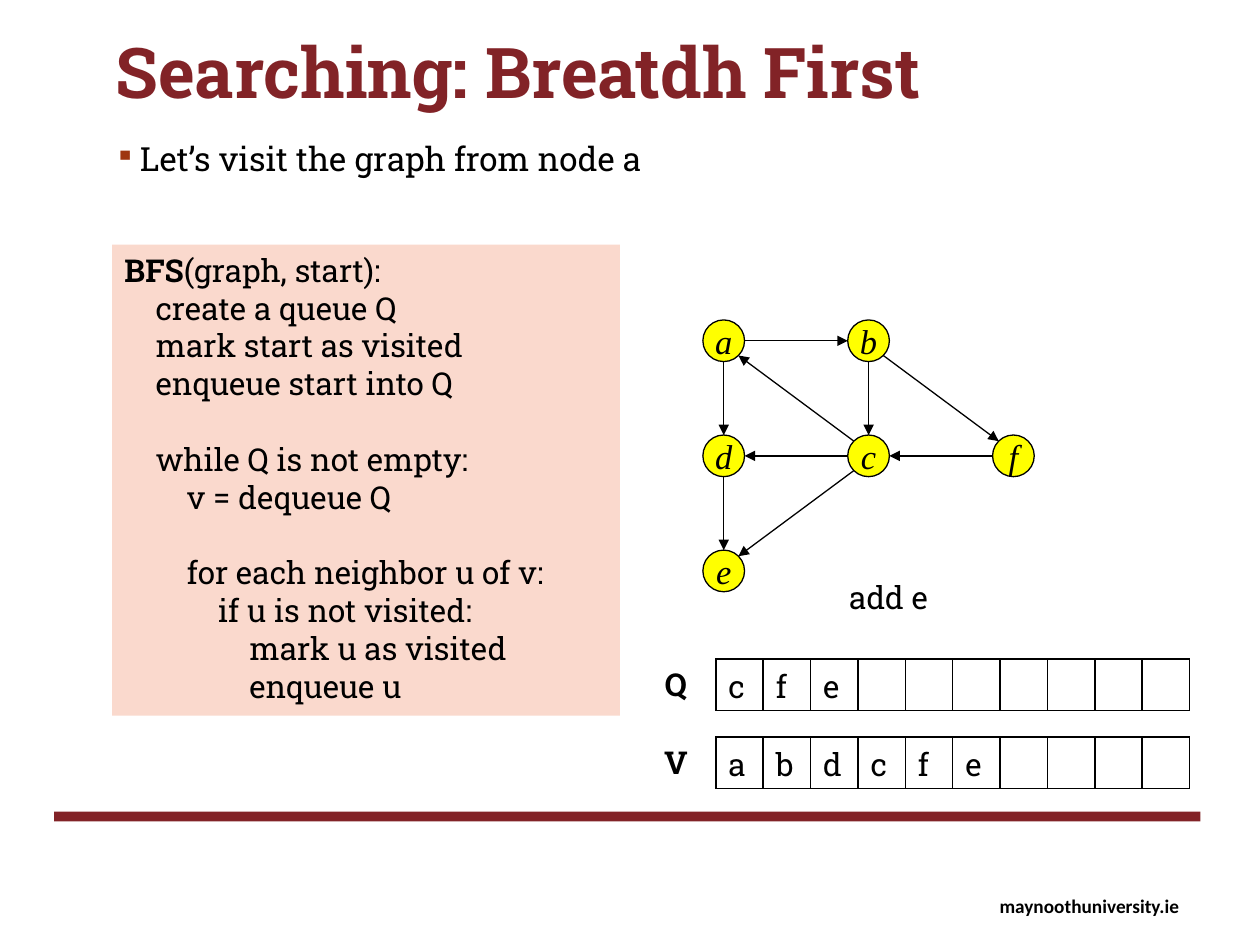
from math import copysign, hypot

from lxml import etree
from pptx import Presentation
from pptx.dml.color import RGBColor
from pptx.enum.shapes import MSO_CONNECTOR, MSO_SHAPE
from pptx.enum.text import MSO_ANCHOR, PP_ALIGN
from pptx.oxml.ns import qn
from pptx.util import Cm, Pt

SLAB, SERIF, SANS = "Roboto Slab", "Times New Roman", "Calibri"
RED, PINK, YELLOW, RUST = "822327", "FAD9CD", "FFFF00", "9E3611"
BLACK, WHITE = "000000", "FFFFFF"
LEFT, CENTER = PP_ALIGN.LEFT, PP_ALIGN.CENTER
RECT, OVAL = MSO_SHAPE.RECTANGLE, MSO_SHAPE.OVAL
STRAIGHT = MSO_CONNECTOR.STRAIGHT
MIDDLE, TOP = MSO_ANCHOR.MIDDLE, MSO_ANCHOR.TOP

CODE = [
    "    create a queue Q",
    "    mark start as visited",
    "    enqueue start into Q",
    "",
    "    while Q is not empty:",
    "        v = dequeue Q",
    "        ",
    "        for each neighbor u of v:",
    "            if u is not visited:",
    "                mark u as visited",
    "                enqueue u",
]
# Node name: (column, row)
NODES = {"a": (0, 0), "d": (0, 1), "e": (0, 2), "b": (1, 0), "c": (1, 1), "f": (2, 1)}
EDGES = ["ad", "ab", "bc", "ca", "cd", "ce", "de", "bf", "fc"]


def color(hex_string):
    return RGBColor.from_string(hex_string)


def sub(parent, tag, **attrs):
    return etree.SubElement(parent, qn(tag), attrs)


def add_run(p, text, size=18, font=SLAB, fill=BLACK, bold=False, italic=False):
    r = p.add_run()
    r.text = text
    r.font.size, r.font.name = Pt(size), font
    r.font.bold, r.font.italic = bold, italic
    r.font.color.rgb = color(fill)


def add_text(s, x, y, w, h, text, align=LEFT, wrap=True, **style):
    """Place a one-line text box and return its paragraph."""
    tf = s.shapes.add_textbox(Cm(x), Cm(y), Cm(w), Cm(h)).text_frame
    tf.word_wrap = wrap
    p = tf.paragraphs[0]
    p.alignment = align
    add_run(p, text, **style)
    return p


def add_filled(shapes, kind, x, y, w, h, fill, line=None):
    sp = shapes.add_shape(kind, Cm(x), Cm(y), Cm(w), Cm(h))
    sp.shadow.inherit = False
    sp.fill.solid()
    sp.fill.fore_color.rgb = color(fill)
    if line:
        sp.line.color.rgb = color(line)
        sp.line.width = Pt(0.75)
    else:
        sp.line.fill.background()
    return sp


def add_footer(s, x, y, w):
    add_filled(s.shapes, RECT, x, y, w, 0.2, RED)
    add_text(s, x + w - 4.3, y + 1.55, 4.19, 0.74, "maynoothuniversity.ie",
             wrap=False, size=11, font=SANS, bold=True)


def add_heading(s, x, y, w):
    p = add_text(s, x, y, w, 3.12, "Searching: Breatdh First",
                 size=40, fill=RED, bold=True)
    p.line_spacing = 0.9

    p = add_text(s, x - 0.78, y + 2.11, w + 1.63, 2.34,
                 "Let’s visit the graph from node a", size=19)
    p.line_spacing, p.space_after = 0.9, Pt(2)
    pPr = p._p.get_or_add_pPr()
    pPr.set("marL", str(Cm(1.27)))
    pPr.set("indent", str(-Cm(0.51)))
    sub(sub(pPr, "a:buClr"), "a:srgbClr", val=RUST)
    sub(pPr, "a:buSzPct", val="85000")
    sub(pPr, "a:buChar", char="▪")


def add_code(s, x, y, w, h):
    tf = add_filled(s.shapes, RECT, x, y, w, h, PINK).text_frame
    tf.word_wrap, tf.vertical_anchor = True, TOP
    p = tf.paragraphs[0]
    p.alignment = LEFT
    add_run(p, "BFS", bold=True)
    add_run(p, "(graph, start):")
    for line in CODE:
        p = tf.add_paragraph()
        p.alignment = LEFT
        add_run(p, line)


def add_arrow(shapes, x1, y1, x2, y2):
    line = shapes.add_connector(STRAIGHT, Cm(x1), Cm(y1), Cm(x2), Cm(y2))
    line.line.color.rgb = color(BLACK)
    line.line.width = Pt(0.75)
    sub(line.line._get_or_add_ln(), "a:tailEnd", type="triangle")
    sub(line._element.spPr, "a:effectLst")


def add_graph(s, x, y, step_x=2.92, step_y=2.32, radius=0.42):
    """Draw the nodes on a grid; arrows meet them at multiples of 45 degrees."""
    shapes = s.shapes.add_group_shape().shapes
    centers = {}
    for name, (col, row) in NODES.items():
        left, top = x + col * step_x, y + row * step_y
        centers[name] = left + radius, top + radius
        sp = add_filled(shapes, OVAL, left, top, 2 * radius, 2 * radius, YELLOW, BLACK)
        tf = sp.text_frame
        tf.word_wrap, tf.vertical_anchor = False, MIDDLE
        p = tf.paragraphs[0]
        p.alignment = CENTER
        add_run(p, name, size=19.7, font=SERIF, italic=True)

    for start, end in EDGES:
        (x1, y1), (x2, y2) = centers[start], centers[end]
        ux = copysign(1, x2 - x1) if abs(x2 - x1) > 0.01 else 0
        uy = copysign(1, y2 - y1) if abs(y2 - y1) > 0.01 else 0
        dx, dy = (radius * u / hypot(ux, uy) for u in (ux, uy))
        add_arrow(shapes, x1 + dx, y1 + dy, x2 - dx, y2 - dy)


def add_border(cell):
    tcPr = cell._tc.get_or_add_tcPr()
    for index, side in enumerate(("a:lnL", "a:lnR", "a:lnT", "a:lnB")):
        ln = etree.Element(qn(side), w=str(Pt(1)))
        sub(sub(ln, "a:solidFill"), "a:srgbClr", val=BLACK)
        tcPr.insert(index, ln)


def add_array(s, x, y, label, values, cells=10, cell_w=0.955, h=1.04):
    """Draw a labelled one-row table, filled from the left."""
    add_text(s, x, y, 1.47, 1.02, label, align=CENTER, bold=True)
    table = s.shapes.add_table(1, cells, Cm(x + 1.54), Cm(y),
                               Cm(cells * cell_w), Cm(h)).table
    table.first_row = table.horz_banding = False
    for i in range(cells):
        table.columns[i].width = Cm(cell_w)
        cell = table.cell(0, i)
        cell.fill.solid()
        cell.fill.fore_color.rgb = color(WHITE)
        add_border(cell)
        if i < len(values):
            add_run(cell.text_frame.paragraphs[0], values[i])


def main():
    prs = Presentation()
    prs.slide_width, prs.slide_height = Cm(25.4), Cm(19.05)
    s = prs.slides.add_slide(prs.slide_layouts[6])
    add_footer(s, 1.09, 16.36, 23.11)
    add_heading(s, 2.08, 0.64, 21)
    add_code(s, 2.26, 4.93, 10.24, 9.5)
    add_array(s, 12.89, 13.28, "Q", "cfe")
    add_array(s, 12.89, 14.86, "V", "abdcfe")
    add_graph(s, 14.17, 6.45)
    add_text(s, 16.87, 11.53, 7.14, 1.02, "add e")
    prs.save("out.pptx")


if __name__ == "__main__":
    main()
